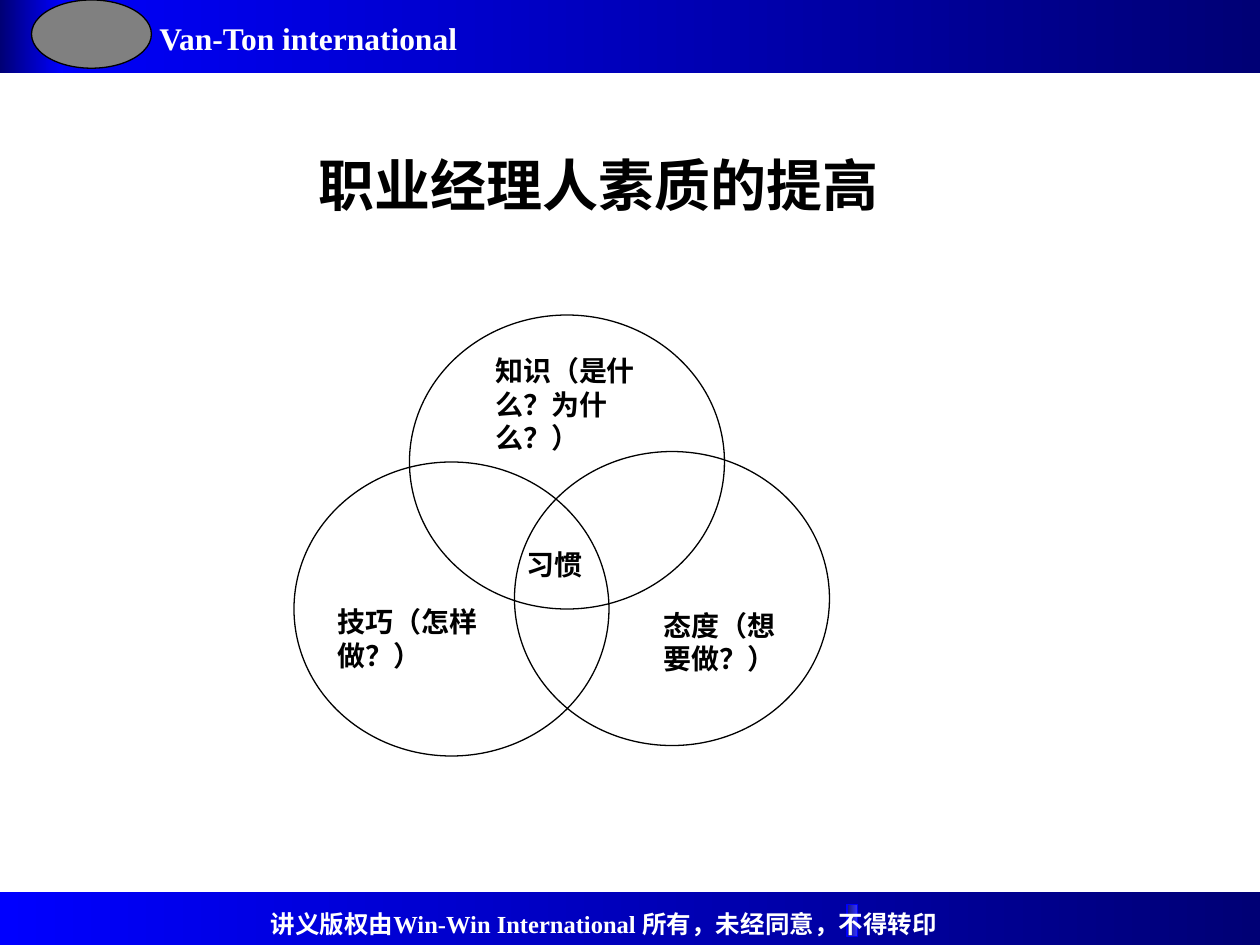
from pptx import Presentation
from pptx.dml.color import RGBColor
from pptx.enum.shapes import MSO_SHAPE as Shape
from pptx.enum.text import MSO_ANCHOR as Anchor, PP_ALIGN as Align
from pptx.util import Pt

NAVY = RGBColor(0x00, 0x00, 0x75)
BLUE = RGBColor(0x00, 0x00, 0xFF)
DEEP = RGBColor(0x17, 0x17, 0x75)
BRIGHT = RGBColor(0x33, 0x33, 0xFF)
GRAY = RGBColor(0x80, 0x80, 0x80)
BLACK = RGBColor(0, 0, 0)
WHITE = RGBColor(0xFF, 0xFF, 0xFF)

PAGE_WIDTH, PAGE_HEIGHT = 720, 540
HEADER_HEIGHT, FOOTER_HEIGHT = 42, 30
FOOTER_TOP = PAGE_HEIGHT - FOOTER_HEIGHT
CIRCLE_SIZE = (180, 168)


def add_shape(page, kind, left, top, width, height, line=None):
    shape = page.shapes.add_shape(kind, Pt(left), Pt(top), Pt(width), Pt(height))
    shape.shadow.inherit = False
    if line is None:
        shape.line.fill.background()
    else:
        shape.line.color.rgb = line
        shape.line.width = Pt(0.75)
    return shape


def add_bar(page, left, top, width, height, left_color, right_color, line=None):
    bar = add_shape(page, Shape.RECTANGLE, left, top, width, height, line)
    bar.fill.gradient()
    bar.fill.gradient_angle = 180
    for stop, color in zip(bar.fill.gradient_stops, (right_color, left_color)):
        stop.color.rgb = color


def add_oval(page, left, top, width, height, fill=None):
    oval = add_shape(page, Shape.OVAL, left, top, width, height, BLACK)
    if fill is None:
        oval.fill.background()
    else:
        oval.fill.solid()
        oval.fill.fore_color.rgb = fill


def add_text(page, text, left, top, width, height, size, color=BLACK,
             wrap=True, align=Align.LEFT, anchor=Anchor.TOP):
    box = page.shapes.add_textbox(Pt(left), Pt(top), Pt(width), Pt(height))
    frame = box.text_frame
    frame.word_wrap = wrap
    frame.vertical_anchor = anchor
    para = frame.paragraphs[0]
    para.alignment = align
    span = para.add_run()
    span.text = text
    span.font.color.rgb = color
    formats = {"name": "Times New Roman", "size": Pt(size), "bold": True}
    for name, value in formats.items():
        setattr(span.font, name, value)


def main():
    deck = Presentation()
    deck.slide_width, deck.slide_height = Pt(PAGE_WIDTH), Pt(PAGE_HEIGHT)
    page = deck.slides.add_slide(deck.slide_layouts[6])

    # Header
    add_bar(page, 0, 0, PAGE_WIDTH, HEADER_HEIGHT, BLUE, NAVY)
    add_bar(page, 0, 0, 36, HEADER_HEIGHT, NAVY, BLUE)
    add_oval(page, 18, 0, 68.5, 39, GRAY)
    add_text(page, "Van-Ton international", 84, 7.5, 191, 29, 18, WHITE, wrap=False)

    # Footer
    add_bar(page, 0, FOOTER_TOP, PAGE_WIDTH, FOOTER_HEIGHT, BLUE, NAVY)
    add_bar(page, 484, 517, 6, 18, DEEP, BRIGHT, BLUE)
    add_text(page, "讲义版权由Win-Win International 所有，未经同意，不得转印",
             147.5, 516, 402.5, 24.5, 14, WHITE, wrap=False)

    # Title
    add_text(page, "职业经理人素质的提高", 36, 60, 612, 90, 32,
             align=Align.CENTER, anchor=Anchor.MIDDLE)

    # Overlapping circles
    for left, top in ((234, 180), (168, 264), (294, 258)):
        add_oval(page, left, top, *CIRCLE_SIZE)

    # Circle labels
    labels = (
        ("知识（是什么？为什么？）", 276, 198.5, 96, 65),
        ("习惯", 294, 309.5, 48, 27),
        ("态度（想要做？）", 372, 344, 90, 46),
        ("技巧（怎样做？）", 186, 342, 102, 46),
    )
    for label in labels:
        add_text(page, *label, size=16)

    deck.save("out.pptx")


if __name__ == "__main__":
    main()
